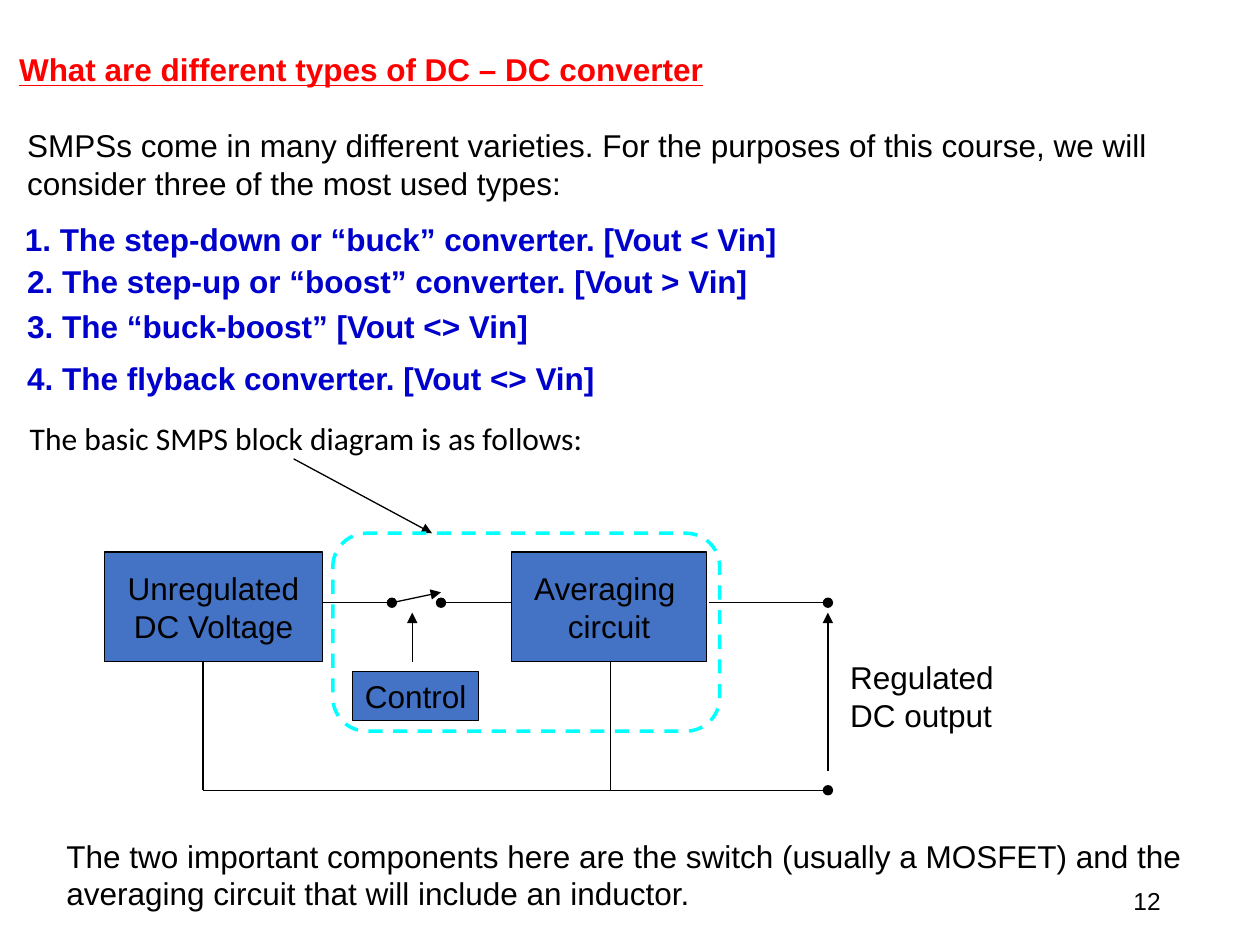
from lxml import etree
from pptx import Presentation
from pptx.dml.color import RGBColor
from pptx.enum.dml import MSO_LINE
from pptx.enum.shapes import MSO_CONNECTOR, MSO_SHAPE
from pptx.enum.text import MSO_ANCHOR, MSO_AUTO_SIZE, PP_ALIGN
from pptx.oxml.ns import qn
from pptx.util import Cm, Pt

LEFT, CENTER, RIGHT = PP_ALIGN.LEFT, PP_ALIGN.CENTER, PP_ALIGN.RIGHT
TOP, MIDDLE = MSO_ANCHOR.TOP, MSO_ANCHOR.MIDDLE
RECT, ROUNDED = MSO_SHAPE.RECTANGLE, MSO_SHAPE.ROUNDED_RECTANGLE
STRAIGHT, DASH = MSO_CONNECTOR.STRAIGHT, MSO_LINE.DASH
TITLE_ONLY = 5
BLACK, RED, NAVY, BLUE, CYAN = "000000", "FF0000", "0000CC", "4472C4", "00FFFF"


def color(value):
    return RGBColor.from_string(value)


def write(sp, text, size=18, font="Arial", fill=BLACK, bold=False,
          underline=False, align=LEFT, anchor=TOP, wrap=True):
    tf = sp.text_frame
    tf.auto_size = MSO_AUTO_SIZE.NONE
    tf.word_wrap = wrap
    tf.vertical_anchor = anchor
    for i, line in enumerate(text.split("\n")):
        p = tf.paragraphs[0] if i == 0 else tf.add_paragraph()
        p.alignment = align
        r = p.add_run()
        r.text = line
        r.font.size, r.font.name = Pt(size), font
        r.font.bold, r.font.underline = bold, underline
        r.font.color.rgb = color(fill)


def add_text(s, x, y, w, h, text, **fmt):
    sp = s.shapes.add_textbox(Cm(x), Cm(y), Cm(w), Cm(h))
    write(sp, text, **fmt)


def add_block(s, x, y, w, h, text):
    sp = s.shapes.add_shape(RECT, Cm(x), Cm(y), Cm(w), Cm(h))
    sp.shadow.inherit = False
    sp.fill.solid()
    sp.fill.fore_color.rgb = color(BLUE)
    sp.line.color.rgb = color(BLACK)
    sp.line.width = Pt(0.75)
    write(sp, text, align=CENTER, anchor=MIDDLE, wrap=False)


def add_line(s, x1, y1, x2, y2, end=None):
    line = s.shapes.add_connector(STRAIGHT, Cm(x1), Cm(y1), Cm(x2), Cm(y2))
    line.line.color.rgb = color(BLACK)
    line.line.width = Pt(0.75)
    if end:
        etree.SubElement(line.line._get_or_add_ln(), qn("a:tailEnd"), type=end)
    etree.SubElement(line._element.spPr, qn("a:effectLst"))


def add_title(s, x, y, w, h):
    sp = s.shapes.title
    sp.left, sp.top, sp.width, sp.height = Cm(x), Cm(y), Cm(w), Cm(h)
    write(sp, "What are different types of DC – DC converter",
          fill=RED, bold=True, underline=True)


def add_types(s, x, y, w):
    add_text(s, x, y, w, 1.8,
             "SMPSs come in many different varieties. For the purposes of this "
             "course, we will consider three of the most used types:")
    types = [
        (-0.05, 1.9, "1. The step-down or “buck” converter. [Vout < Vin]"),
        (0, 2.74, "2. The step-up or “boost” converter. [Vout > Vin]"),
        (0, 3.66, "3. The “buck-boost” [Vout <> Vin]"),
        (0, 4.7, "4. The flyback converter. [Vout <> Vin]"),
    ]
    for dx, dy, text in types:
        add_text(s, x + dx, y + dy, 17, 1.02, text, fill=NAVY, bold=True)
    add_text(s, x + 0.05, y + 5.92, 12.7, 1.02,
             "The basic SMPS block diagram is as follows:", font="Calibri")


def add_diagram(s, x, y):
    block_top, block_bottom = 1.88, 4.09
    wire, arrow_tip, ground, output = 2.9, 3.1, 6.68, 14.58
    blocks = [
        (0, block_top, 4.39, 2.21, "Unregulated\nDC Voltage"),
        (8.2, block_top, 3.94, 2.21, "Averaging \ncircuit"),
        (5, 4.29, 2.54, 0.99, "Control"),
    ]
    for dx, dy, w, h, text in blocks:
        add_block(s, x + dx, y + dy, w, h, text)
    lines = [
        (4.39, wire, 5.79, wire, "oval"),
        (8.2, wire, 6.78, wire, "oval"),
        (5.79, wire, 6.78, 2.69, "triangle"),
        (6.2, block_bottom, 6.2, arrow_tip, "triangle"),
        (1.98, block_bottom, 1.98, ground, None),
        (1.98, ground, output, ground, "oval"),
        (12.19, wire, output, wire, "oval"),
        (output, 6.3, output, arrow_tip, "triangle"),
        (10.19, block_bottom, 10.19, ground, None),
        (3.81, 0, 6.6, 1.5, "triangle"),
    ]
    for x1, y1, x2, y2, end in lines:
        add_line(s, x + x1, y + y1, x + x2, y + y2, end)
    add_text(s, x + 14.78, y + 3.89, 3.4, 1.78, "Regulated\nDC output", wrap=False)

    frame = s.shapes.add_shape(ROUNDED, Cm(x + 4.6), Cm(y + 1.5), Cm(7.8), Cm(3.99))
    frame.shadow.inherit = False
    frame.adjustments[0] = 0.17
    frame.fill.background()
    frame.line.color.rgb = color(CYAN)
    frame.line.width = Pt(2)
    frame.line.dash_style = DASH


def add_closing(s, x, y, w):
    add_text(s, x, y, w, 1.78,
             "The two important components here are the switch (usually a MOSFET) "
             "and the averaging circuit that will include an inductor.")
    add_text(s, x + 16.84, y + 0.91, 5.72, 1.02, "12",
             size=14, align=RIGHT, anchor=MIDDLE)


def main():
    prs = Presentation()
    prs.slide_width, prs.slide_height = Cm(25.4), Cm(19.05)
    s = prs.slides.add_slide(prs.slide_layouts[TITLE_ONLY])
    add_title(s, 0.13, 0.89, 15.52, 1.02)
    add_types(s, 0.3, 2.41, 24.8)
    add_diagram(s, 2.11, 9.25)
    add_closing(s, 1.09, 16.74, 23.8)
    prs.save("out.pptx")


if __name__ == "__main__":
    main()
